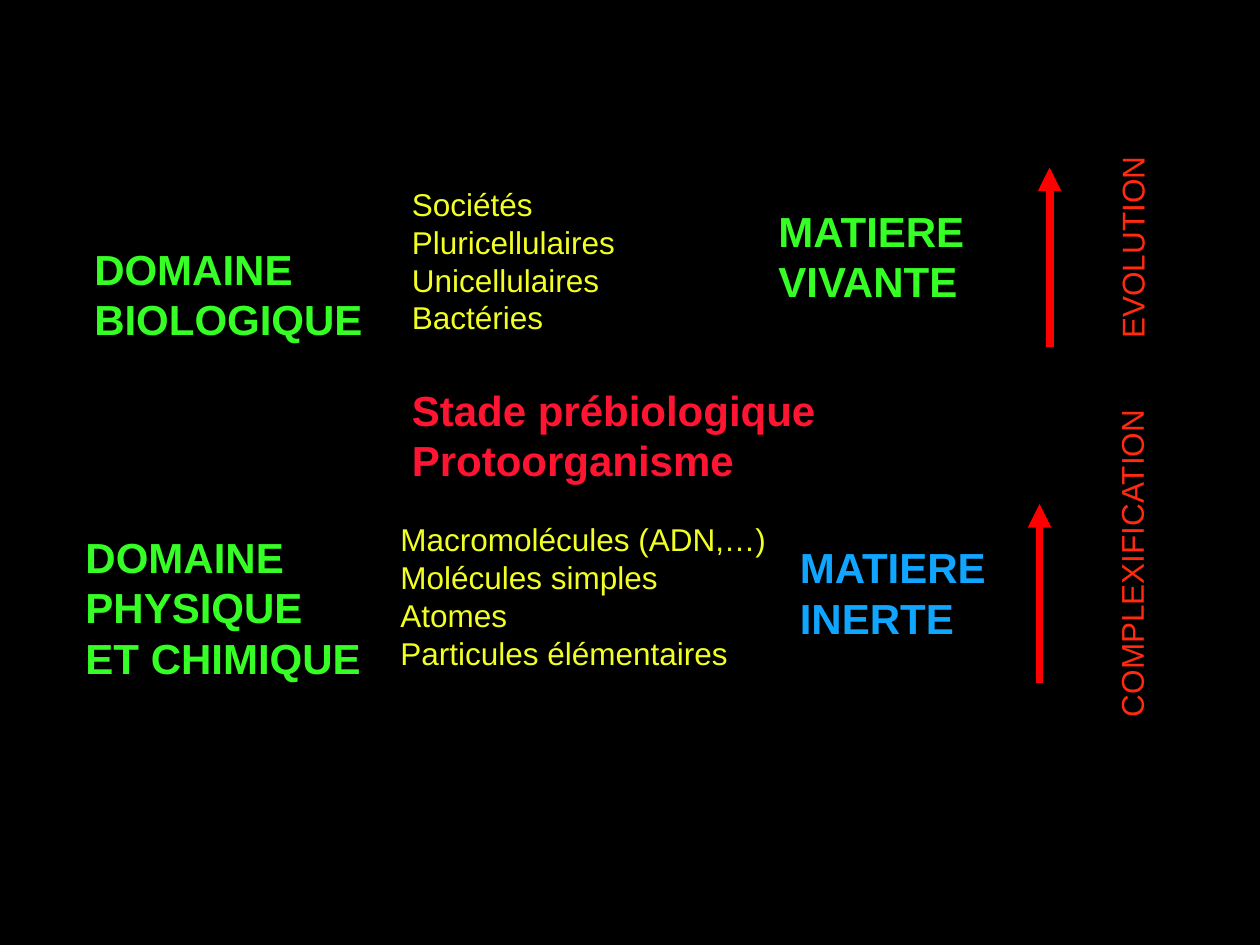
"""Build the slide on the passage from inert to living matter."""
from lxml.etree import SubElement
from pptx import Presentation
from pptx.dml.color import RGBColor
from pptx.enum.shapes import MSO_CONNECTOR as Conn
from pptx.enum.text import MSO_AUTO_SIZE as Auto
from pptx.oxml.ns import qn
from pptx.util import Inches, Pt

WIDTH, HEIGHT = 10, 7.5
GREEN, BLUE, CRIMSON = "36FF26", "10A6FF", "FF1432"
YELLOW, ORANGE, RED, BLACK = "F2FF25", "FF2A0F", "FF0000", "000000"
LINE_HEIGHT = {24: 0.4, 18: 0.3}
PADDING = 0.1

HEADINGS = [
    (0.65, 1.88, 2.33, GREEN, ["DOMAINE", "BIOLOGIQUE"]),
    (0.58, 4.17, 2.39, GREEN, ["DOMAINE", "PHYSIQUE", "ET CHIMIQUE"]),
    (3.17, 3, 3.45, CRIMSON, ["Stade prébiologique", "Protoorganisme"]),
    (6.08, 1.58, 1.7, GREEN, ["MATIERE", "VIVANTE"]),
    (6.25, 4.25, 1.7, BLUE, ["MATIERE", "INERTE"]),
]
LISTS = [
    (3.17, 1.42, 1.81, YELLOW,
     ["Sociétés", "Pluricellulaires", "Unicellulaires", "Bactéries"]),
    (3.08, 4.08, 3.1, YELLOW,
     ["Macromolécules (ADN,…)", "Molécules simples", "Atomes",
      "Particules élémentaires"]),
]
SIDE_LABELS = [
    (7.65, 4.26, 2.66, ORANGE, ["COMPLEXIFICATION"]),
    (8.16, 1.76, 1.65, ORANGE, ["EVOLUTION"]),
]
ARROWS = [(8.33, 2.75), (8.25, 5.42)]
ARROW_LENGTH = 1.42


def rgb(value):
    """Return the colour of a hex string."""
    return RGBColor.from_string(value)


def add_text(s, left, top, width, colour, lines, size, bold=False, rotation=0):
    """Add an unwrapped text box with one paragraph per line."""
    height = PADDING + LINE_HEIGHT[size] * len(lines)
    sp = s.shapes.add_textbox(*map(Inches, (left, top, width, height)))
    sp.rotation = rotation
    tf = sp.text_frame
    tf.word_wrap = False
    tf.auto_size = Auto.SHAPE_TO_FIT_TEXT
    for i, line in enumerate(lines):
        p = tf.add_paragraph() if i else tf.paragraphs[0]
        r = p.add_run()
        r.text = line
        r.font.name, r.font.size, r.font.bold = "Arial", Pt(size), bold
        r.font.color.rgb = rgb(colour)


def add_arrow(s, x, bottom):
    """Add an upward arrow starting at the given point."""
    line = s.shapes.add_connector(
        Conn.STRAIGHT, *map(Inches, (x, bottom, x, bottom - ARROW_LENGTH)))
    line.line.color.rgb = rgb(RED)
    line.line.width = Pt(4.5)
    sp_pr = line._element.spPr
    SubElement(sp_pr.find(qn("a:ln")), qn("a:tailEnd"), type="triangle")
    SubElement(sp_pr, qn("a:effectLst"))


def main():
    """Build and save the slide."""
    prs = Presentation()
    prs.slide_width, prs.slide_height = Inches(WIDTH), Inches(HEIGHT)
    s = prs.slides.add_slide(prs.slide_layouts[6])
    s.background.fill.solid()
    s.background.fill.fore_color.rgb = rgb(BLACK)
    for heading in HEADINGS:
        add_text(s, *heading, size=24, bold=True)
    for items in LISTS:
        add_text(s, *items, size=18)
    for arrow in ARROWS:
        add_arrow(s, *arrow)
    for label in SIDE_LABELS:
        add_text(s, *label, size=18, rotation=270)
    prs.save("out.pptx")


if __name__ == "__main__":
    main()
